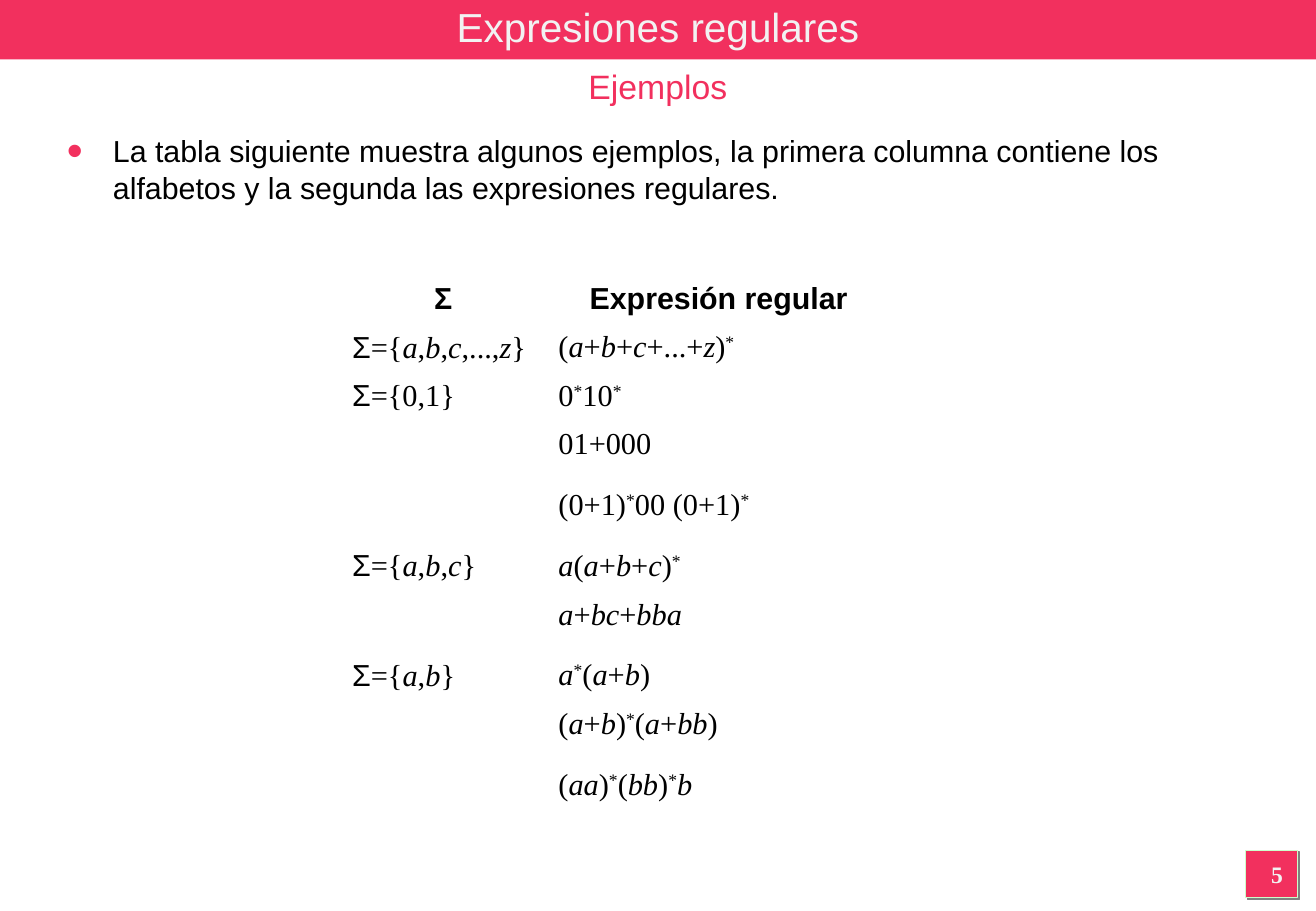
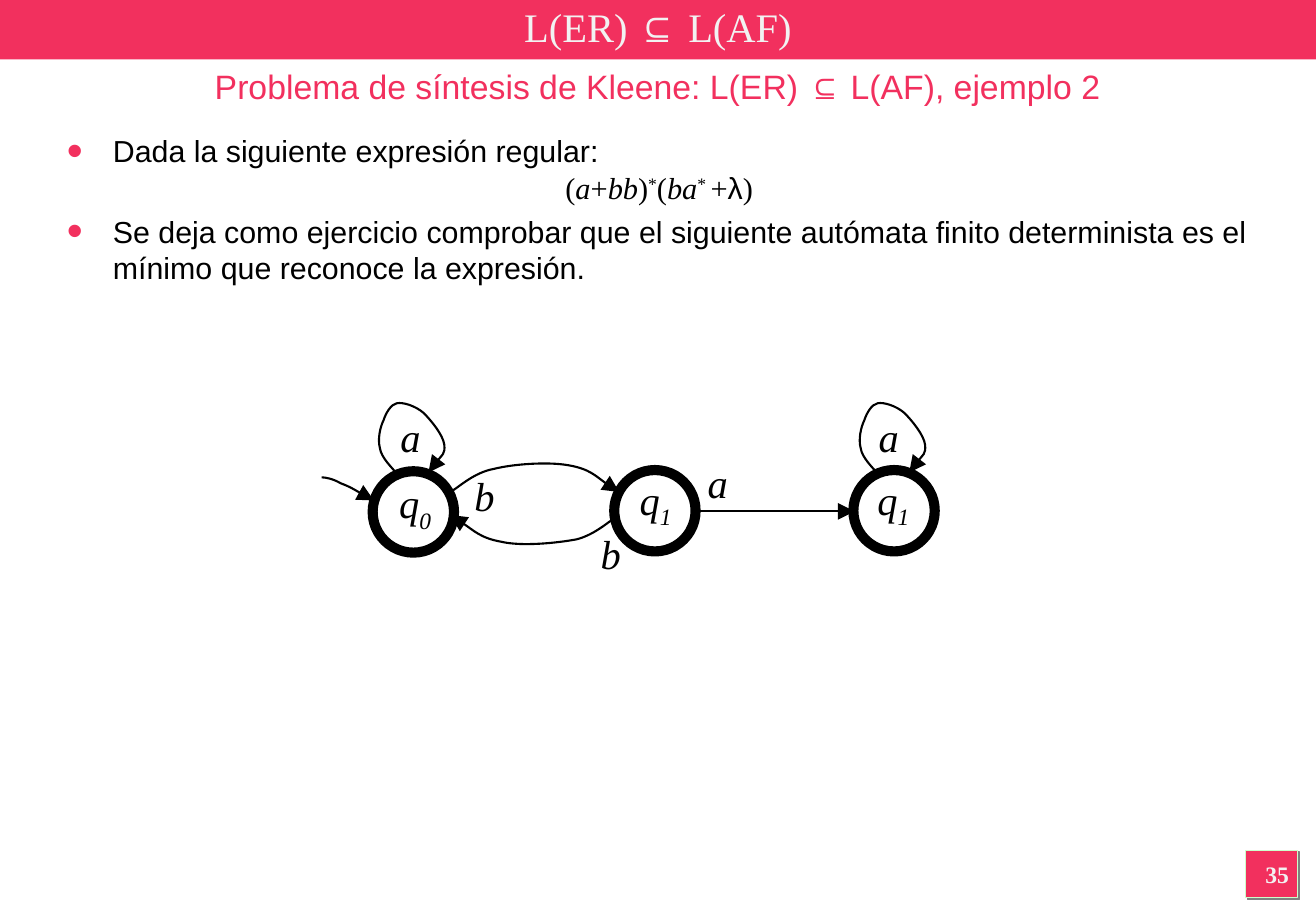
from itertools import groupby

from pptx import Presentation
from pptx.dml.color import RGBColor
from pptx.enum import shapes as kinds, text as styles
from pptx.oxml.ns import qn
from pptx.oxml.xmlchemy import OxmlElement
from pptx.util import Inches, Pt

PINK, PALE, BLACK = "F2305E", "F2F2F2", "000000"
EDGE, SHADE = "CCFFCC", "808080"
SANS, SERIF = "Arial", "Times New Roman"
CENTER = styles.PP_ALIGN.CENTER
SLIDE_WIDTH, SLIDE_HEIGHT = 10.84, 7.5

SIGMA_ROWS = [
    ("Σ={a,b,c,...,z}", "(a+b+c+...+z)*"),
    ("Σ={0,1}", "0*10*"),
    ("", "01+000"),
    ("", "(0+1)*00 (0+1)*"),
    ("Σ={a,b,c}", "a(a+b+c)*"),
    ("", "a+bc+bba"),
    ("Σ={a,b}", "a*(a+b)"),
    ("", "(a+b)*(a+bb)"),
    ("", "(aa)*(bb)*b"),
]
# Each node: left, top, index, and left and top of its label.
NODES = [(3.07, 3.88, "0", 3.19, 3.89), (5.06, 3.87, "1", 5.17, 3.86),
         (7.03, 3.87, "1", 7.13, 3.86)]
NODE_SIZE = 0.67
LETTERS = [(3.81, 3.83, "b"), (4.85, 4.31, "b"), (5.73, 3.72, "a"),
           (7.14, 3.34, "a"), (3.2, 3.34, "a")]
# Each curve: start point, then triples of Bézier control and end points.
START = [(2.65, 3.93), (2.68, 3.93), (2.74, 3.94), (2.81, 3.98),
         (2.89, 4.01), (3.02, 4.09), (3.08, 4.12)]
FORTH = [(3.71, 4.05), (3.77, 4.02), (3.9, 3.89), (4.07, 3.86), (4.23, 3.82),
         (4.51, 3.8), (4.68, 3.83), (4.86, 3.86), (5.02, 4.01), (5.1, 4.05)]
BACK = [(5.1, 4.24), (5.04, 4.27), (4.91, 4.4), (4.75, 4.44), (4.59, 4.47),
        (4.3, 4.5), (4.13, 4.46), (3.96, 4.43), (3.8, 4.29), (3.71, 4.24)]
LOOP = [(3.26, 3.89), (3.24, 3.86), (3.14, 3.77), (3.13, 3.69), (3.11, 3.62),
        (3.13, 3.52), (3.16, 3.46), (3.18, 3.4), (3.22, 3.33), (3.27, 3.32),
        (3.32, 3.31), (3.42, 3.34), (3.49, 3.4), (3.55, 3.46), (3.65, 3.58),
        (3.66, 3.66), (3.67, 3.74), (3.56, 3.84), (3.53, 3.89)]


def rgb(value):
    return RGBColor.from_string(value)


def apply(target, **values):
    for name, value in values.items():
        setattr(target, name, value)


def place(shape, left, top, width, height):
    apply(shape, left=Inches(left), top=Inches(top),
          width=Inches(width), height=Inches(height))


def add_xml(parent, tag, **attributes):
    child = OxmlElement(tag)
    for name, value in attributes.items():
        child.set(name, str(value))
    parent.append(child)
    return child


def plain(content):
    return [(content, SANS, False, 0)]


def math_style(character):
    """Font, italic and baseline shift of one character of a formula."""
    return (SANS if character in "Σλ⊆" else SERIF,
            "a" <= character <= "z",
            30 if character == "*" else 0)


def math(content):
    return [("".join(group), *style)
            for style, group in groupby(content, math_style)]


def write(paragraph, runs, size=18, color=BLACK, bold=False, align=None, before=0):
    apply(paragraph, alignment=align, space_before=Pt(before))
    for content, font_name, italic, baseline in runs:
        run = paragraph.add_run()
        run.text = content
        apply(run.font, name=font_name, size=Pt(size), bold=bold, italic=italic)
        run.font.color.rgb = rgb(color)
        if baseline:
            run.font._element.set("baseline", str(baseline * 1000))


def indent(paragraph, bullet):
    properties = paragraph._p.get_or_add_pPr()
    properties.set("marL", str(Inches(0.38)))
    properties.set("indent", str(Inches(-0.38)))
    if bullet:
        add_xml(add_xml(properties, "a:buClr"), "a:srgbClr", val=PINK)
        add_xml(properties, "a:buSzPct", val=150000)
        add_xml(properties, "a:buFont", typeface=SANS)
        add_xml(properties, "a:buChar", char="•")
    else:
        add_xml(properties, "a:buNone")


def add_text(slide, box, runs, wrap=True, fit=False, **style):
    shape = slide.shapes.add_textbox(0, 0, 0, 0)
    place(shape, *box)
    sizing = styles.MSO_AUTO_SIZE
    apply(shape.text_frame, word_wrap=wrap,
          auto_size=sizing.SHAPE_TO_FIT_TEXT if fit else sizing.NONE)
    write(shape.text_frame.paragraphs[0], runs, align=CENTER, **style)


def add_label(slide, left, top, letter, index="", width=0.36, height=0.5):
    runs = [(letter, SERIF, True, 0)]
    if index:
        runs.append((index, SERIF, True, -25))
    add_text(slide, (left, top, width, height), runs, wrap=False, fit=True, size=24)


def add_box(slide, box, kind, fill=None, line=None, width=0.75):
    shape = slide.shapes.add_shape(kind, 0, 0, 0, 0)
    place(shape, *box)
    shape.shadow.inherit = False
    if fill:
        shape.fill.solid()
        shape.fill.fore_color.rgb = rgb(fill)
    else:
        shape.fill.background()
    if line:
        shape.line.color.rgb = rgb(line)
        shape.line.width = Pt(width)
    else:
        shape.line.fill.background()
    return shape


def make_arrow(shape):
    shape.line.color.rgb = rgb(BLACK)
    shape.line.width = Pt(1.25)
    add_xml(shape.element.spPr.get_or_add_ln(), "a:tailEnd",
            type="triangle", w="lg", len="lg")


def add_curve(slide, points, shift=0):
    """Draw a chain of cubic Bézier segments that ends in an arrowhead."""
    points = [(Inches(x + shift), Inches(y)) for x, y in points]
    builder = slide.shapes.build_freeform(*points[0])
    builder.add_line_segments(points[3::3], close=False)
    shape = builder.convert_to_shape()
    segments = list(shape.element.iter(qn("a:lnTo")))
    for index, segment in enumerate(segments):
        cubic = OxmlElement("a:cubicBezTo")
        for x, y in points[3 * index + 1:3 * index + 4]:
            add_xml(cubic, "a:pt", x=x - shape.left, y=y - shape.top)
        segment.getparent().replace(segment, cubic)
    shape.fill.background()
    shape.shadow.inherit = False
    make_arrow(shape)


def add_straight_arrow(slide, start, end):
    connector = slide.shapes.add_connector(
        kinds.MSO_CONNECTOR.STRAIGHT, *map(Inches, (*start, *end)))
    make_arrow(connector)
    add_xml(connector.element.spPr, "a:effectLst")


def dress_layout(layout, slide):
    """Give the layout its band, number box and placeholder places.

    The shapes are made on a slide and then moved to the layout.
    """
    rectangle = kinds.MSO_SHAPE.RECTANGLE
    number_box = add_box(slide, (10.26, 7, 0.43, 0.39), rectangle, PINK, EDGE)
    effects = number_box.element.spPr.find(qn("a:effectLst"))
    shadow = add_xml(effects, "a:outerShdw", dist=Pt(1.4), dir=45 * 60000,
                     algn="ctr", rotWithShape=0)
    add_xml(shadow, "a:srgbClr", val=SHADE)
    band = add_box(slide, (0, 0, SLIDE_WIDTH, 0.49), rectangle, PINK)
    for shape in (number_box, band):
        layout.shapes.element.append(shape.element)
    place(layout.placeholders[0], 0, 0, SLIDE_WIDTH, 0.44)
    place(layout.placeholders[1], 0.45, 1.04, 9.96, 5.8)


def fill_slide(slide, title, subtitle, body, number):
    """Write the shared parts; body is a list of (runs, has a bullet)."""
    frame = slide.shapes.title.text_frame
    apply(frame, auto_size=styles.MSO_AUTO_SIZE.NONE, word_wrap=True,
          vertical_anchor=styles.MSO_ANCHOR.MIDDLE)
    write(frame.paragraphs[0], title, size=24, color=PALE, align=CENTER)
    add_text(slide, (0, 0.49, SLIDE_WIDTH, 0.44), plain(subtitle), fit=True,
             size=20, color=PINK)
    frame = slide.placeholders[1].text_frame
    frame.auto_size = styles.MSO_AUTO_SIZE.NONE
    for index, (runs, bullet) in enumerate(body):
        paragraph = frame.add_paragraph() if index else frame.paragraphs[0]
        indent(paragraph, bullet)
        write(paragraph, runs, before=4.5 if index and bullet else 0,
              align=None if bullet else CENTER)
    add_text(slide, (10.25, 7.03, 0.54, 0.35), [(number, SERIF, False, 0)],
             size=14, color=PALE, bold=True)


def add_expression_table(slide):
    rows = [("Σ", "Expresión regular"), *SIGMA_ROWS]
    heights = [4.01 / len(rows) if alphabet else 0.5 for alphabet, _ in rows]
    table = slide.shapes.add_table(
        len(rows), 2, *map(Inches, (2.8, 2.27, 4.54, sum(heights)))).table
    apply(table, first_row=False, horz_banding=False)
    for column, width in zip(table.columns, (1.7, 2.84)):
        column.width = Inches(width)
    for row_index, (row, height) in enumerate(zip(rows, heights)):
        table.rows[row_index].height = Inches(height)
        for column_index, content in enumerate(row):
            cell = table.cell(row_index, column_index)
            cell.fill.background()
            paragraph = cell.text_frame.paragraphs[0]
            if row_index == 0:
                write(paragraph, plain(content), bold=True, align=CENTER)
            elif content:
                write(paragraph, math(content))


def add_automaton(slide):
    for left, top, index, label_left, label_top in NODES:
        add_box(slide, (left, top, NODE_SIZE, NODE_SIZE),
                kinds.MSO_SHAPE.OVAL, line=BLACK, width=6)
        add_label(slide, label_left, label_top, "q", index, 0.46, 0.56)
    for points in (START, FORTH, BACK, LOOP):
        add_curve(slide, points)
    add_curve(slide, LOOP, shift=NODES[2][0] - NODES[0][0])
    add_straight_arrow(slide, (5.73, 4.21), (7.04, 4.21))
    for left, top, letter in LETTERS:
        add_label(slide, left, top, letter)


def main():
    presentation = Presentation()
    apply(presentation, slide_width=Inches(SLIDE_WIDTH),
          slide_height=Inches(SLIDE_HEIGHT))
    layout = presentation.slide_layouts[1]
    examples = presentation.slides.add_slide(layout)
    synthesis = presentation.slides.add_slide(layout)
    dress_layout(layout, examples)

    fill_slide(examples, plain("Expresiones regulares"), "Ejemplos", [
        (plain("La tabla siguiente muestra algunos ejemplos, la primera columna "
               "contiene los alfabetos y la segunda las expresiones regulares."), True),
    ], "5")
    add_expression_table(examples)

    formula = math("(a+bb)*(ba") + [("* ", SERIF, False, 30)] + math("+λ)")
    fill_slide(synthesis, math("L(ER) ⊆ L(AF)"),
               "Problema de síntesis de Kleene: L(ER) ⊆ L(AF), ejemplo 2", [
        (plain("Dada la siguiente expresión regular:"), True),
        (formula, False),
        (plain("Se deja como ejercicio comprobar que el siguiente autómata finito "
               "determinista es el mínimo que reconoce la expresión."), True),
    ], "35")
    add_automaton(synthesis)
    presentation.save("out.pptx")


if __name__ == "__main__":
    main()
